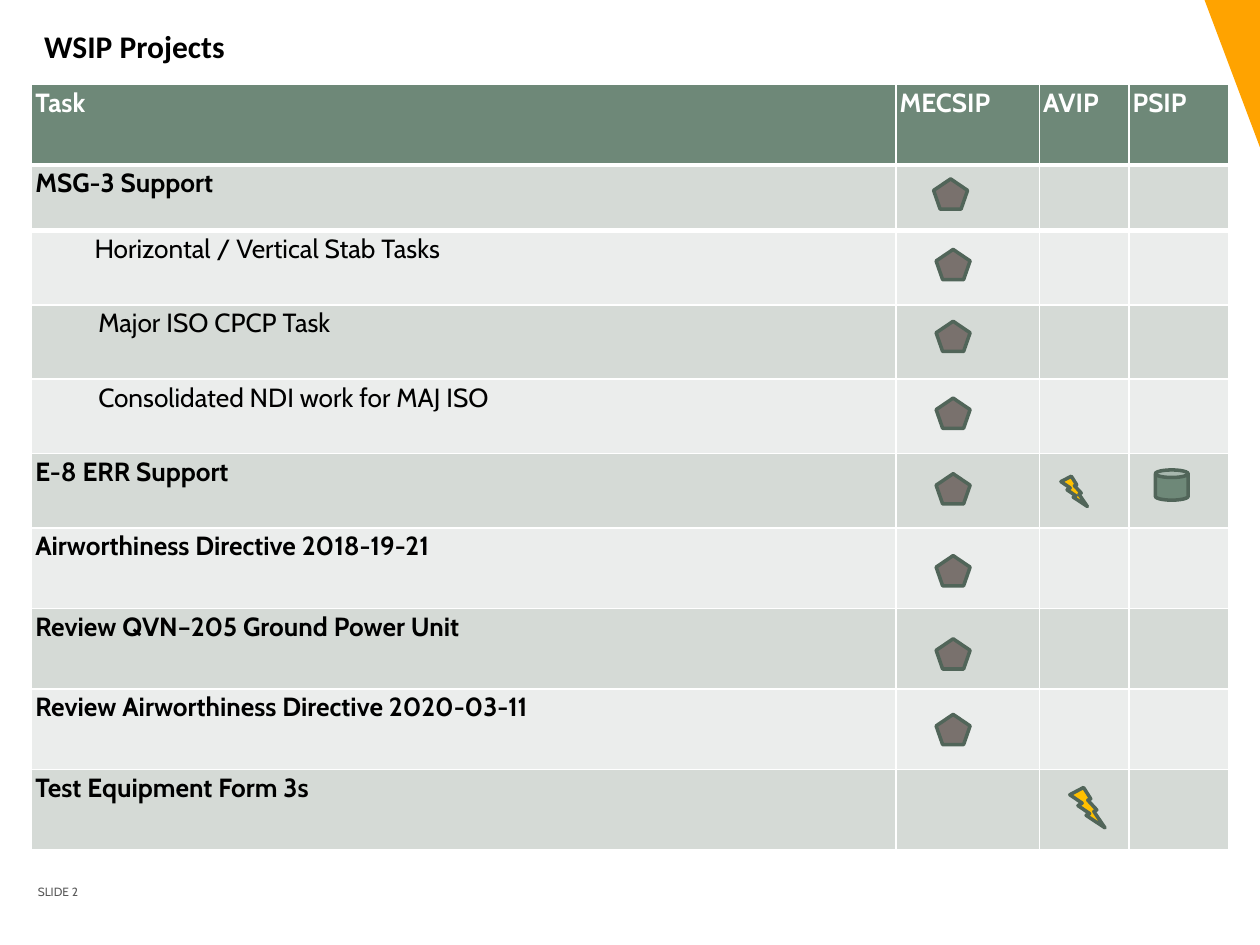
from lxml.etree import SubElement
from pptx import Presentation
from pptx.dml.color import RGBColor
from pptx.enum.shapes import MSO_SHAPE
from pptx.enum.text import MSO_ANCHOR, MSO_AUTO_SIZE, PP_ALIGN
from pptx.oxml.ns import qn
from pptx.util import Inches, Pt

TITLE = "WSIP Projects"
FOOTER = "SLIDE 2"
HEADINGS = ["Task", "MECSIP", "AVIP", "PSIP"]
COLUMN_WIDTHS = [6.86, 1.14, 0.71, 0.79]
HEADER_HEIGHT = 0.64

# task, left indent (0 for a main task), row height
TASKS = [
    ("MSG-3 Support", 0, 0.52),
    ("Horizontal / Vertical Stab Tasks", 0.47, 0.59),
    ("Major ISO CPCP Task", 0.5, 0.59),
    ("Consolidated NDI work for MAJ ISO", 0.5, 0.59),
    ("E-8 ERR Support", 0, 0.59),
    ("Airworthiness Directive 2018-19-21", 0, 0.64),
    ("Review QVN–205 Ground Power Unit", 0, 0.64),
    ("Review Airworthiness Directive 2020-03-11", 0, 0.64),
    ("Test Equipment Form 3s", 0, 0.64),
]

# preset, fill, boxes as (left, top, width, height)
MECSIP_TOPS = [1.98, 2.55, 3.16, 3.76, 4.41, 5.07, 5.67]
MARKERS = [
    (MSO_SHAPE.REGULAR_PENTAGON, "79716D",
     [(7.41, 1.42, 0.27, 0.24)] + [(7.43, top, 0.27, 0.24) for top in MECSIP_TOPS]),
    (MSO_SHAPE.LIGHTNING_BOLT, "FFC000",
     [(8.42, 3.78, 0.21, 0.24), (8.49, 6.25, 0.28, 0.32)]),
    (MSO_SHAPE.CAN, "6E8878", [(9.17, 3.73, 0.26, 0.24)]),
]


def rgb(code):
    return RGBColor.from_string(code)


def inches(box):
    return [Inches(value) for value in box]


def style(paragraph, font_name, size, color, bold=False):
    font = paragraph.font
    font.name, font.size, font.bold = font_name, Pt(size), bold
    font.color.rgb = rgb(color)


def add_filled_shape(slide, preset, box, fill, outline=None):
    shape = slide.shapes.add_shape(preset, *inches(box))
    shape.shadow.inherit = False
    shape.fill.solid()
    shape.fill.fore_color.rgb = rgb(fill)
    if outline:
        shape.line.color.rgb = rgb(outline)
        shape.line.width = Pt(2)
    else:
        shape.line.fill.background()
    return shape


def add_title(slide):
    title = slide.shapes.title
    title.left, title.top, title.width, title.height = inches((0.25, 0.33, 4.84, 0.24))
    frame = title.text_frame
    frame.text = TITLE
    frame.auto_size = MSO_AUTO_SIZE.NONE
    frame.vertical_anchor = MSO_ANCHOR.TOP
    heading = frame.paragraphs[0]
    heading.alignment = PP_ALIGN.LEFT
    heading.line_spacing = Pt(9.7)
    style(heading, "Calibri", 18, "000000", bold=True)


def add_footer(slide):
    frame = slide.shapes.add_textbox(*inches((0.28, 6.88, 1.01, 0.4))).text_frame
    frame.word_wrap = True
    frame.vertical_anchor = MSO_ANCHOR.MIDDLE
    frame.margin_left = Inches(0.02)
    frame.margin_right = frame.margin_top = frame.margin_bottom = 0
    frame.text = FOOTER
    style(frame.paragraphs[0], "Cabin", 6.8, "595959")


def write_cell(cell, text, color, bold, indent=0):
    cell.margin_left = Inches(0.03 + indent)
    cell.margin_right = Inches(0.03)
    cell.margin_top = cell.margin_bottom = Inches(0.02)
    cell.text = text
    style(cell.text_frame.paragraphs[0], "Cabin", 15, color, bold)


def add_border(cell, side, width, color):
    """Draw one cell side ("lnT", "lnB"); call before filling the cell."""
    line = SubElement(cell._tc.get_or_add_tcPr(), qn(f"a:{side}"), w=str(Pt(width)))
    SubElement(SubElement(line, qn("a:solidFill")), qn("a:srgbClr"), val=color)


def add_task_table(slide):
    heights = [HEADER_HEIGHT] + [height for _, _, height in TASKS]
    box = (0.25, 0.67, sum(COLUMN_WIDTHS), sum(heights))
    table = slide.shapes.add_table(len(heights), len(HEADINGS), *inches(box)).table
    for column, width in zip(table.columns, COLUMN_WIDTHS):
        column.width = Inches(width)
    for index, (row, height) in enumerate(zip(table.rows, heights)):
        row.height = Inches(height)
        fill = "6E8878" if index == 0 else ("EBEDEC", "D5DAD6")[index % 2]
        for cell in row.cells:
            if index < 2:
                add_border(cell, ("lnB", "lnT")[index], 3, "FFFFFF")
            cell.fill.solid()
            cell.fill.fore_color.rgb = rgb(fill)
    for index, heading in enumerate(HEADINGS):
        write_cell(table.cell(0, index), heading, "FFFFFF", True)
    for index, (task, indent, _) in enumerate(TASKS, start=1):
        write_cell(table.cell(index, 0), task, "000000", indent == 0, indent)


def main():
    deck = Presentation()
    deck.slide_width, deck.slide_height = Inches(10), Inches(7.5)
    slide = deck.slides.add_slide(deck.slide_layouts[5])
    add_footer(slide)
    corner = add_filled_shape(slide, MSO_SHAPE.RIGHT_TRIANGLE, (9.56, 0, 0.44, 1.17), "FFA300")
    corner.rotation = 180
    add_task_table(slide)
    add_title(slide)
    for preset, fill, boxes in MARKERS:
        for box in boxes:
            add_filled_shape(slide, preset, box, fill, "516559")
    deck.save("out.pptx")


if __name__ == "__main__":
    main()
